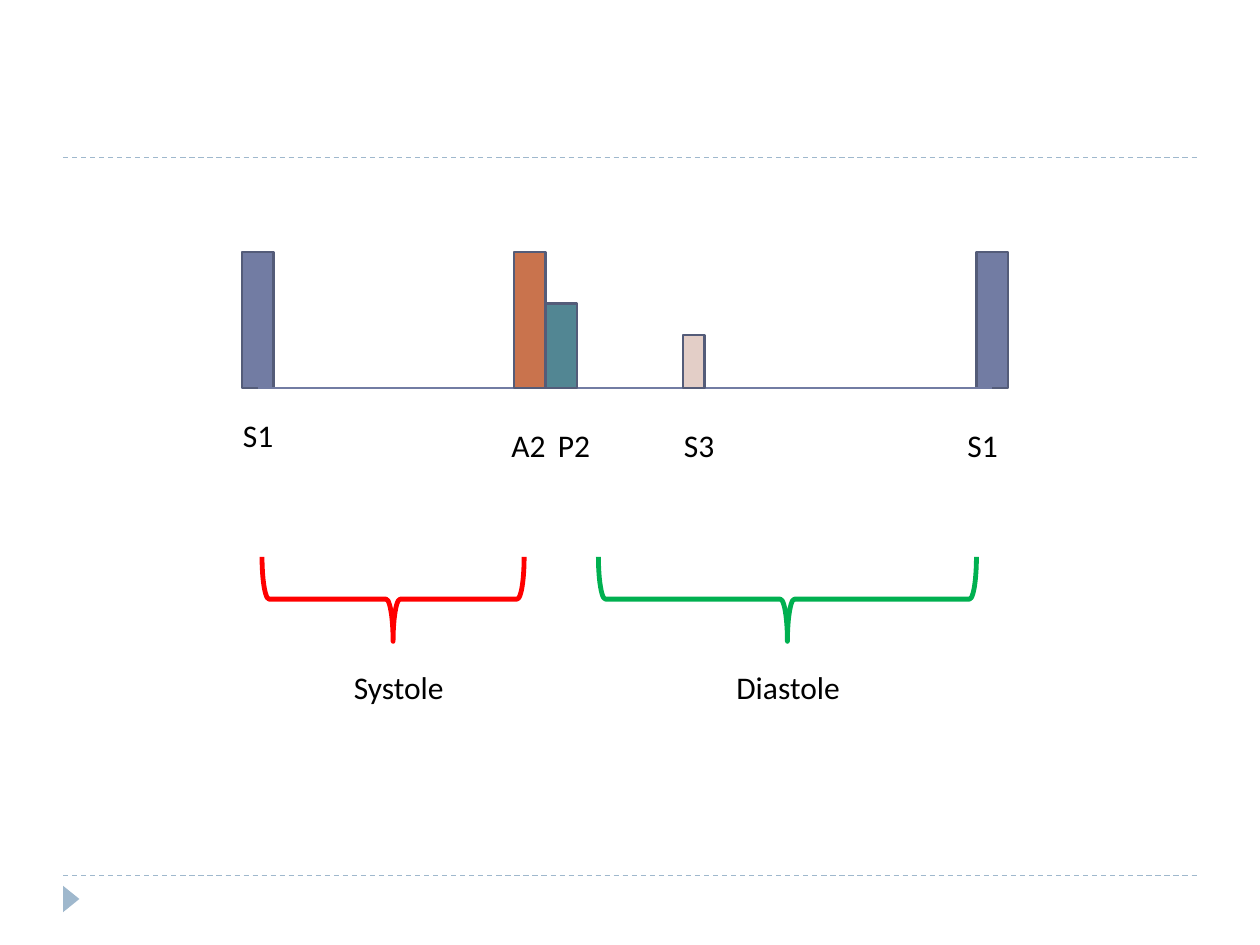
import pptx
import pptx.dml.color
import pptx.enum.dml
import pptx.enum.shapes
import pptx.enum.text
import pptx.oxml.ns
import pptx.util
from pptx.util import Inches

SHAPES = pptx.enum.shapes.MSO_SHAPE
ALIGN = pptx.enum.text.PP_ALIGN
BASELINE = 3.08
BAR_WIDTH = 0.25
BRACE_TOP = 4.42
BRACE_DEPTH = 0.67
THEME_BLUE = "9FB8CD"
SOUND_BLUE = "727CA3"


def color(hex_value):
    return pptx.dml.color.RGBColor.from_string(hex_value)


def add_shape(slide, kind, left, top, width, height, fill=None, line=None, weight=1.5):
    shape = slide.shapes.add_shape(
        kind, Inches(left), Inches(top), Inches(width), Inches(height))
    shape.shadow.inherit = False
    if fill:
        shape.fill.solid()
        shape.fill.fore_color.rgb = color(fill)
    else:
        shape.fill.background()
    if line:
        shape.line.color.rgb = color(line)
        shape.line.width = pptx.util.Pt(weight)
    else:
        shape.line.fill.background()
    return shape


def add_line(slide, left, right, y, line, dashed=False):
    connector = slide.shapes.add_connector(
        pptx.enum.shapes.MSO_CONNECTOR.STRAIGHT,
        Inches(left), Inches(y), Inches(right), Inches(y))
    connector.line.color.rgb = color(line)
    connector.line.width = pptx.util.Pt(0.75)
    if dashed:
        connector.line.dash_style = pptx.enum.dml.MSO_LINE.DASH
    properties = connector._element.spPr
    properties.append(properties.makeelement(pptx.oxml.ns.qn("a:effectLst"), {}))
    return connector


def add_label(slide, text, left, top, width, alignment=ALIGN.LEFT):
    box = slide.shapes.add_textbox(
        Inches(left), Inches(top), Inches(width), Inches(0.4))
    box.text_frame.word_wrap = True
    box.text_frame.text = text
    paragraph = box.text_frame.paragraphs[0]
    paragraph.alignment = alignment
    font = paragraph.runs[0].font
    font.name = "Calibri"
    font.size = pptx.util.Pt(18)
    font.color.rgb = color("000000")


def add_bar(slide, left, height, fill, width=BAR_WIDTH):
    return add_shape(slide, SHAPES.RECTANGLE, left, BASELINE - height,
                     width, height, fill, "545C79")


def add_phase(slide, name, left, width, label_left, line):
    # The left brace is turned to point down, so its frame is upright
    center_x = left + width / 2
    center_y = BRACE_TOP + BRACE_DEPTH / 2
    brace = add_shape(slide, SHAPES.LEFT_BRACE, center_x - BRACE_DEPTH / 2,
                      center_y - width / 2, BRACE_DEPTH, width,
                      line=line, weight=2.75)
    brace.rotation = 270
    add_label(slide, name, label_left, 5.25, 2.17, ALIGN.CENTER)


def add_frame(slide):
    for y in (6.95, 1.25):
        add_line(slide, 0.5, 9.5, y, THEME_BLUE, dashed=True)
    marker = add_shape(slide, SHAPES.ISOSCELES_TRIANGLE,
                       0.46, 7.07, 0.21, 0.13, THEME_BLUE)
    marker.rotation = 90


def add_heart_sounds(slide):
    # First heart sounds, joined by the time axis
    first = add_bar(slide, 1.92, 1.08, SOUND_BLUE)
    last = add_bar(slide, 7.75, 1.08, SOUND_BLUE)
    axis = add_line(slide, 2.04, 7.88, BASELINE, SOUND_BLUE)
    axis.begin_connect(first, 2)
    axis.end_connect(last, 2)

    # Split second sound and third sound
    add_bar(slide, 4.08, 1.08, "C9734D")
    add_bar(slide, 4.08 + BAR_WIDTH, 0.67, "528693")
    add_bar(slide, 5.42, 0.42, "E3CEC7", width=0.17)

    for text, left, top in (("S1", 1.83, 3.25), ("S1", 7.58, 3.33),
                            ("A2", 3.96, 3.33), ("P2", 4.33, 3.33),
                            ("S3", 5.33, 3.33)):
        add_label(slide, text, left, top, 0.58)


def main():
    presentation = pptx.Presentation()
    presentation.slide_width = Inches(10)
    presentation.slide_height = Inches(7.5)
    slide = presentation.slides.add_slide(presentation.slide_layouts[6])

    add_frame(slide)
    add_phase(slide, "Systole", 2.08, 2.08, 2.08, "FF0000")
    add_phase(slide, "Diastole", 4.75, 3, 5.17, "00B050")
    add_heart_sounds(slide)
    presentation.save("out.pptx")


if __name__ == "__main__":
    main()
